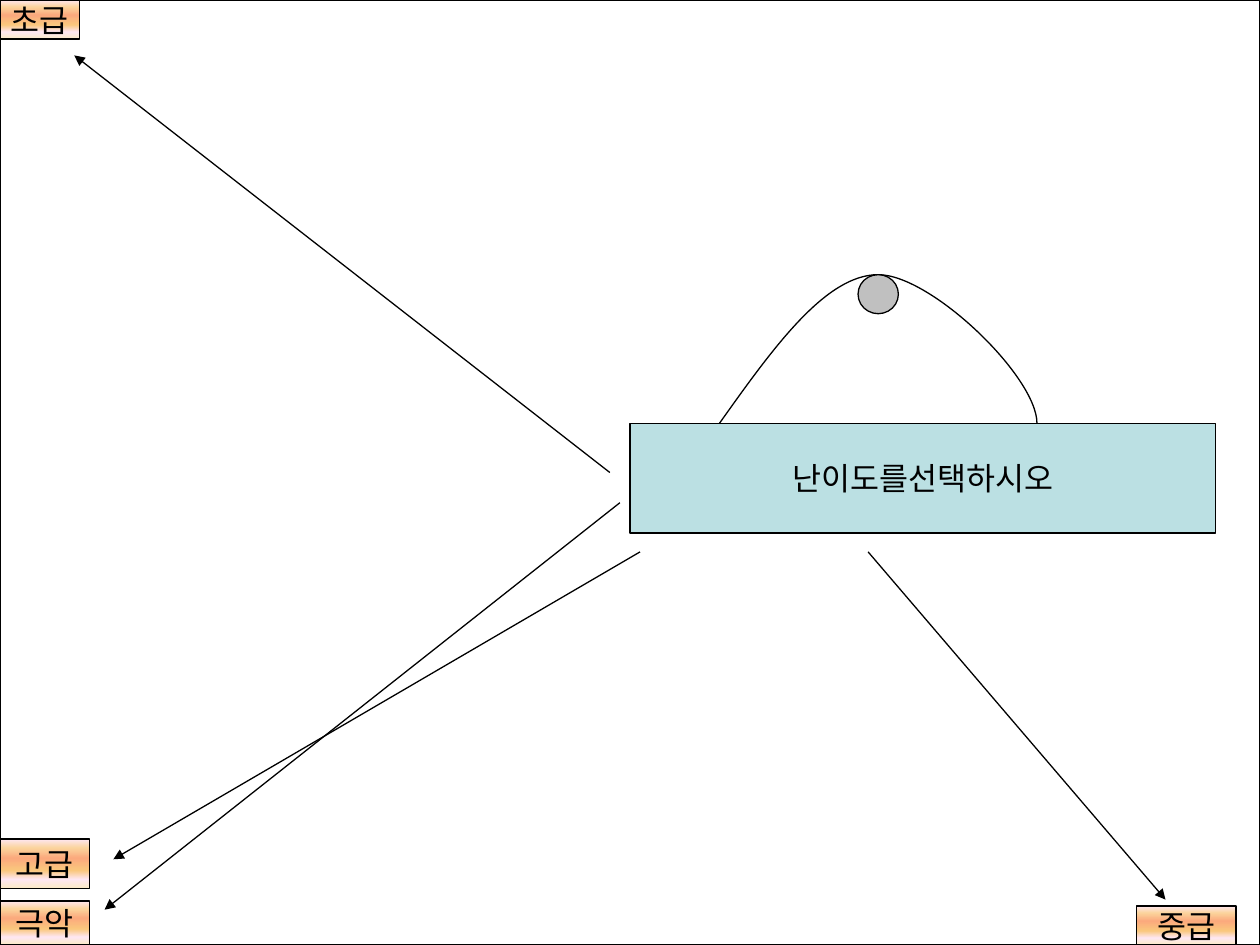
from lxml.etree import SubElement
from pptx import Presentation
from pptx.dml.color import RGBColor
from pptx.enum.shapes import MSO_CONNECTOR, MSO_SHAPE
from pptx.enum.text import MSO_ANCHOR, PP_ALIGN
from pptx.oxml.ns import qn
from pptx.util import Inches, Pt

theme = {
    "ink": RGBColor.from_string("000000"),
    "page": RGBColor.from_string("FFFFFF"),
    "panel": RGBColor.from_string("BBE0E3"),
    "knob": RGBColor.from_string("C0C0C0"),
    "glow": [(0, "FEE7F2"), (18, "FBD49C"), (39, "FBA97D"),
             (64, "FAC77D"), (82, "FEE7F2"), (100, "FBEAC7")],
    "face": "Noto Sans CJK KR",
    "size": Pt(18),
    "rule": Pt(0.75),
}
frame = {"word_wrap": False, "vertical_anchor": MSO_ANCHOR.MIDDLE}
type_set = {"name": theme["face"], "size": theme["size"]}


def ink(item):
    item.line.color.rgb = theme["ink"]
    item.line.width = theme["rule"]


def block(kind, box, fill, text=""):
    item = slide.shapes.add_shape(kind, *map(Inches, box))
    item.shadow.inherit = False
    ink(item)
    if fill == "glow":
        item.fill.gradient()
        item.fill.gradient_angle = 270
        stops = item._element.spPr.find(".//" + qn("a:gsLst"))
        stops.clear()
        for spot, shade in theme["glow"]:
            stop = SubElement(stops, qn("a:gs"), pos=str(spot * 1000))
            SubElement(stop, qn("a:srgbClr"), val=shade)
    else:
        item.fill.solid()
        item.fill.fore_color.rgb = theme[fill]
    if text:
        for key, value in frame.items():
            setattr(item.text_frame, key, value)
        para = item.text_frame.paragraphs[0]
        para.alignment = PP_ALIGN.CENTER
        run = para.add_run()
        run.text = text
        for key, value in type_set.items():
            setattr(run.font, key, value)
        run.font.color.rgb = theme["ink"]
        SubElement(run._r.get_or_add_rPr(), qn("a:ea"), typeface=theme["face"])


deck = Presentation()
deck.slide_width, deck.slide_height = Inches(10), Inches(7.5)
slide = deck.slides.add_slide(deck.slide_layouts[6])

block(MSO_SHAPE.RECTANGLE, (0, 0, 10, 7.5), "page")
block(MSO_SHAPE.RECTANGLE, (5, 3.36, 4.65, 0.87), "panel", "난이도를선택하시오")

bends = [(6.13, 2.77), (6.55, 2.18), (6.97, 2.18),
         (7.39, 2.18), (8.23, 2.99), (8.23, 3.36)]
pen = slide.shapes.build_freeform(Inches(5.71), Inches(3.36))
pen.add_line_segments([(Inches(x), Inches(y)) for x, y in bends], close=False)
arch = pen.convert_to_shape()
arch.shadow.inherit = False
arch.fill.background()
ink(arch)
track = arch._element.spPr.find(".//" + qn("a:path"))
legs = track.findall(qn("a:lnTo"))
for start in range(0, len(legs), 3):
    curve = SubElement(track, qn("a:cubicBezTo"))
    for leg in legs[start:start + 3]:
        curve.append(leg[0])
        track.remove(leg)

block(MSO_SHAPE.OVAL, (6.81, 2.18, 0.32, 0.31), "knob")

arrows = [
    (4.84, 3.75, 0.59, 0.44),
    (4.92, 3.99, 0.83, 7.22),
    (5.08, 4.38, 0.9, 6.82),
    (6.89, 4.38, 9.25, 7.14),
]
for ends in arrows:
    arrow = slide.shapes.add_connector(MSO_CONNECTOR.STRAIGHT, *map(Inches, ends))
    ink(arrow)
    SubElement(arrow.line._get_or_add_ln(), qn("a:tailEnd"), type="triangle")
    SubElement(arrow._element.spPr, qn("a:effectLst"))

levels = [
    ("초급", (0, 0, 0.63, 0.31)),
    ("중급", (9.02, 7.19, 0.79, 0.31)),
    ("고급", (0, 6.66, 0.71, 0.39)),
    ("극악", (0, 7.15, 0.71, 0.35)),
]
for name, box in levels:
    block(MSO_SHAPE.RECTANGLE, box, "glow", name)

deck.save("out.pptx")
